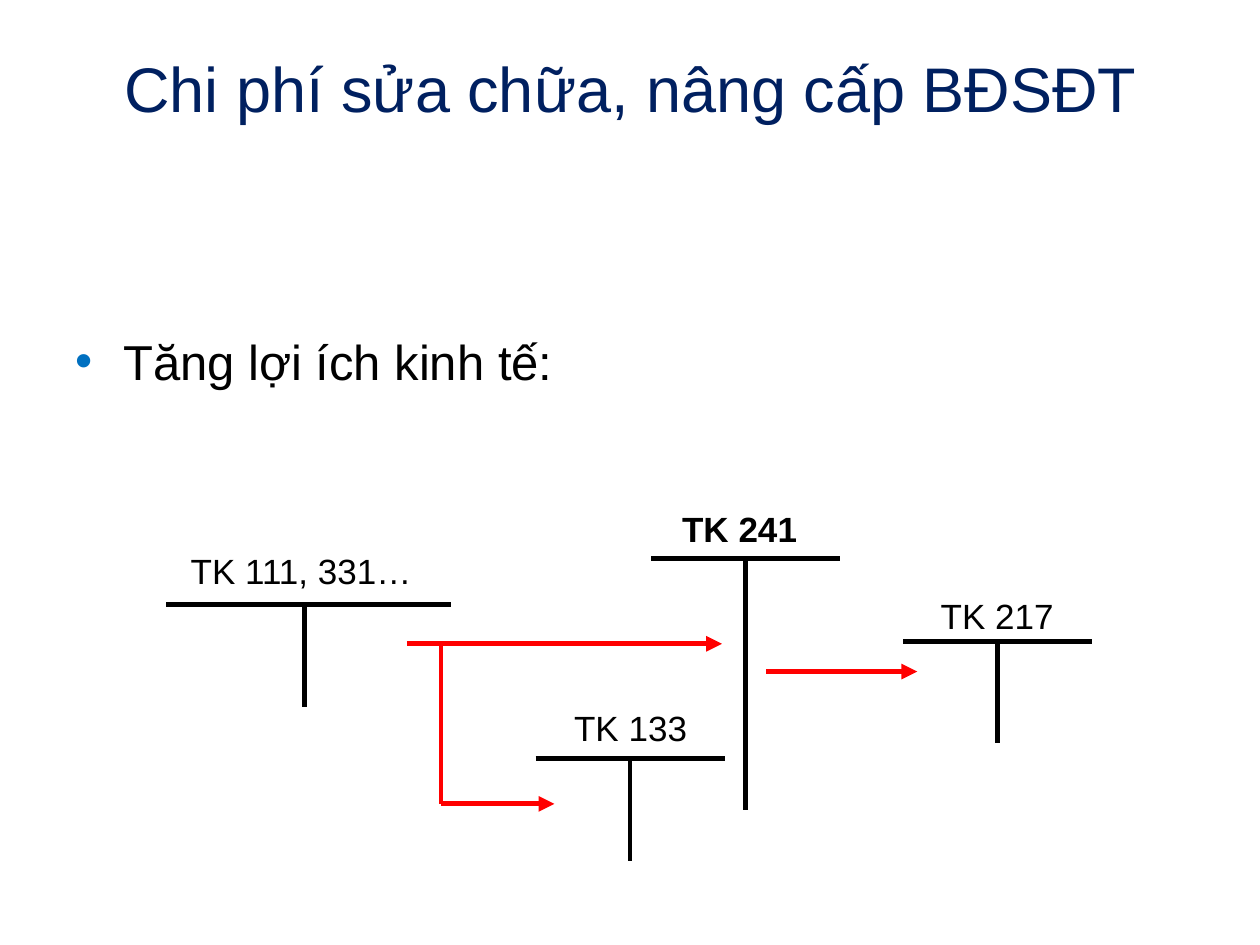
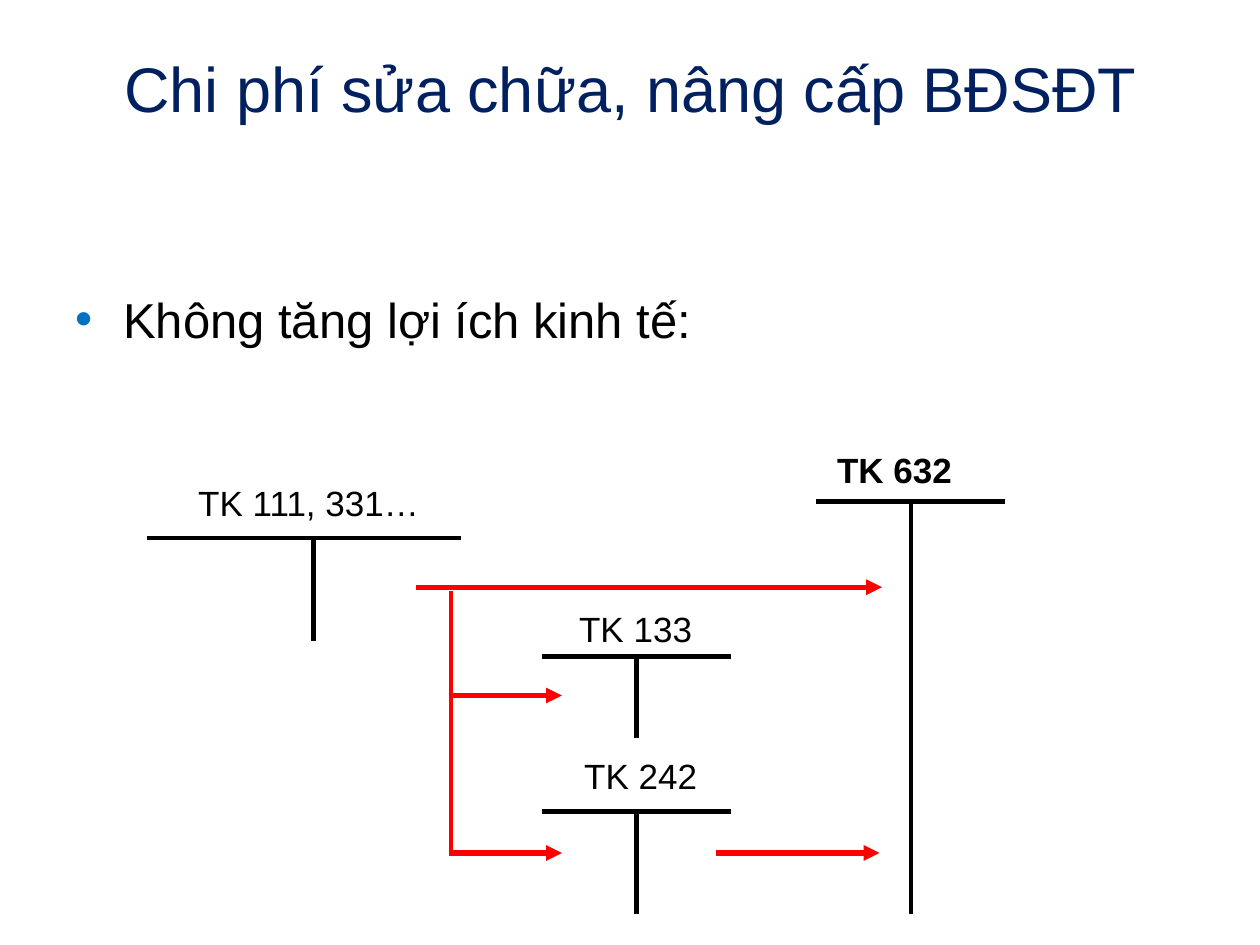
from lxml import etree
from pptx import Presentation
from pptx.dml.color import RGBColor
from pptx.enum.shapes import MSO_CONNECTOR
from pptx.enum.text import MSO_ANCHOR, PP_ALIGN
from pptx.oxml.ns import qn
from pptx.util import Inches, Pt

STRAIGHT = MSO_CONNECTOR.STRAIGHT
CENTER, LEFT = PP_ALIGN.CENTER, PP_ALIGN.LEFT
MIDDLE, TOP = MSO_ANCHOR.MIDDLE, MSO_ANCHOR.TOP

COLORS = {"title": "002060", "text": "000000", "bullet": "0070C0",
          "account": "000000", "flow": "FF0000"}
FONT = "Arial"
TITLE = "Chi phí sửa chữa, nâng cấp BĐSĐT"
LABEL_HEIGHT = 0.44
ACCOUNT_WIDTH, FLOW_WIDTH, BRANCH_WIDTH = 2.75, 3, 2.25

# accounts: label, bold, label (left, top, width), bar (left, right), stem (x, top, bottom)
# arrows: start x, end x, y        branch: x, top, bottom
SLIDES = [
    {
        "heading": "Tăng lợi ích kinh tế:",
        "heading_top": 2.58,
        "accounts": [
            ("TK 241", True, (4.58, 3.98, 2.58), (5.17, 6.67), (5.92, 4.43, 6.43)),
            ("TK 111, 331…", False, (1.15, 4.31, 2.48), (1.32, 3.58), (2.42, 4.8, 5.61)),
            ("TK 133", False, (4.42, 5.56, 1.17), (4.25, 5.75), (5, 6.02, 6.83)),
            ("TK 217", False, (7.33, 4.67, 1.17), (7.17, 8.67), (7.92, 5.09, 5.9)),
        ],
        "arrows": [(3.23, 5.73, 5.11), (3.5, 4.4, 6.38), (6.08, 7.28, 5.33)],
        "branch": (3.5, 5.13, 6.38),
    },
    {
        "heading": "Không tăng lợi ích kinh tế:",
        "heading_top": 2.25,
        "accounts": [
            ("TK 632", True, (5.81, 3.51, 2.58), (6.48, 7.98), (7.23, 3.98, 7.25)),
            ("TK 111, 331…", False, (1.21, 3.77, 2.48), (1.17, 3.66), (2.49, 4.27, 5.09)),
            ("TK 133", False, (4.46, 4.77, 1.17), (4.3, 5.8), (5.05, 5.21, 5.86)),
            ("TK 242", False, (4.5, 5.94, 1.17), (4.3, 5.8), (5.05, 6.44, 7.25)),
        ],
        "arrows": [(3.3, 7, 4.66), (3.56, 4.46, 5.52), (3.56, 4.46, 6.77),
                   (5.68, 6.98, 6.77)],
        "branch": (3.58, 4.69, 6.77),
    },
]


def add_text(page, text, place, size, color, bold=False, align=CENTER, anchor=TOP):
    """Add a one-line text box and return its paragraph."""
    box = page.shapes.add_textbox(*[Inches(length) for length in place])
    box.text_frame.word_wrap = True
    box.text_frame.vertical_anchor = anchor
    para = box.text_frame.paragraphs[0]
    para.alignment = align
    span = para.add_run()
    span.text = text
    span.font.name = FONT
    span.font.size = Pt(size)
    span.font.bold = bold
    span.font.color.rgb = RGBColor.from_string(COLORS[color])
    return para


def add_line(page, start, end, color, width, arrow=False):
    line = page.shapes.add_connector(
        STRAIGHT, *[Inches(length) for length in (*start, *end)])
    line.line.color.rgb = RGBColor.from_string(COLORS[color])
    line.line.width = Pt(width)
    if arrow:
        etree.SubElement(line.line._get_or_add_ln(), qn("a:tailEnd"), type="triangle")
    etree.SubElement(line._element.spPr, qn("a:effectLst"))


deck = Presentation()
deck.slide_width, deck.slide_height = Inches(10), Inches(7.5)

for content in SLIDES:
    page = deck.slides.add_slide(deck.slide_layouts[6])
    add_text(page, TITLE, (0.42, 0.3, 9.17, 0.78), 36, "title", anchor=MIDDLE)

    heading = add_text(page, content["heading"], (0.5, content["heading_top"], 9, 0.67),
                       28, "text", align=LEFT)
    properties = heading._p.get_or_add_pPr()
    properties.set("marL", str(Inches(0.38)))
    properties.set("indent", str(Inches(-0.38)))
    bullet_color = etree.SubElement(properties, qn("a:buClr"))
    etree.SubElement(bullet_color, qn("a:srgbClr"), val=COLORS["bullet"])
    etree.SubElement(properties, qn("a:buFont"), typeface=FONT)
    etree.SubElement(properties, qn("a:buChar"), char="•")

    for label, bold, place, (bar_left, bar_right), (x, top, bottom) in content["accounts"]:
        add_text(page, label, (*place, LABEL_HEIGHT), 20, "text", bold)
        add_line(page, (x, top), (x, bottom), "account", ACCOUNT_WIDTH)
        add_line(page, (bar_left, top), (bar_right, top), "account", ACCOUNT_WIDTH)

    for start, end, y in content["arrows"]:
        add_line(page, (start, y), (end, y), "flow", FLOW_WIDTH, arrow=True)
    x, top, bottom = content["branch"]
    add_line(page, (x, top), (x, bottom), "flow", BRANCH_WIDTH)

deck.save("out.pptx")
